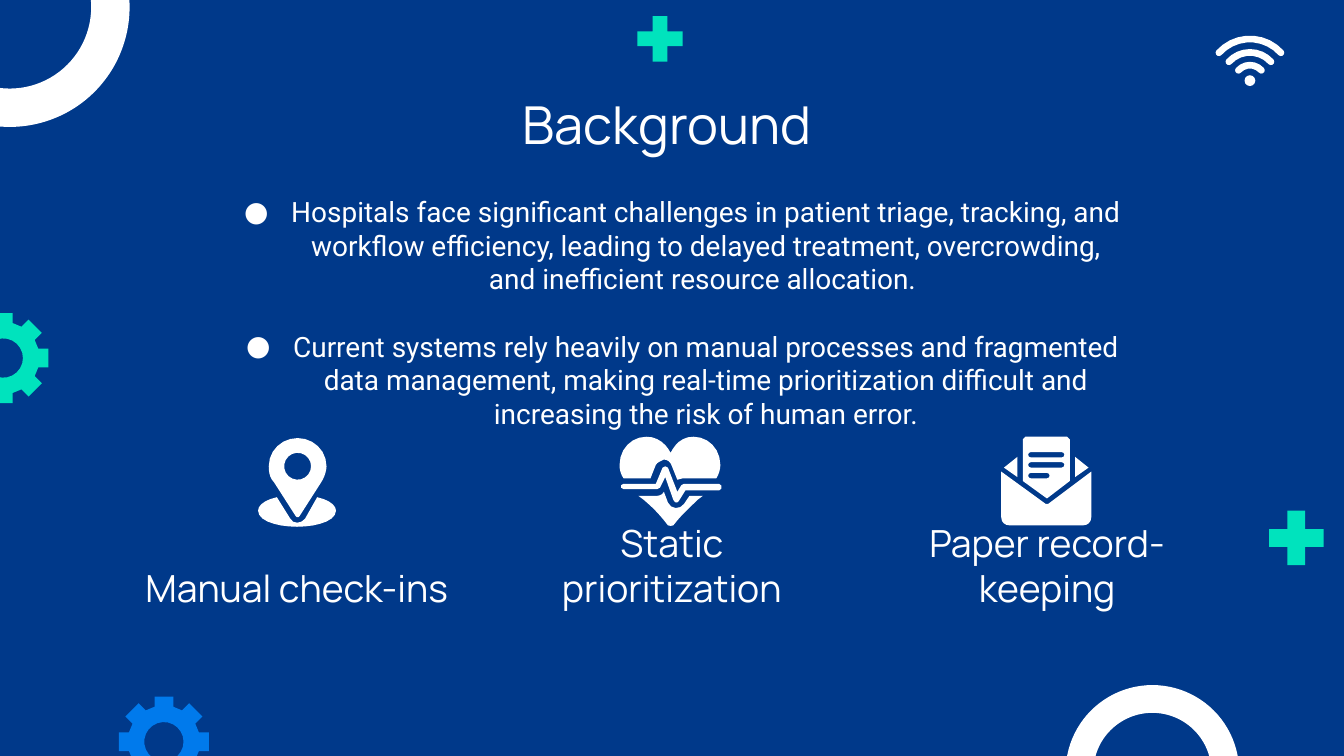
"""Build the Background slide with its list, three icons and tech ornaments."""
from math import cos, sin, radians, sqrt, dist
from pptx import Presentation
from pptx.dml.color import RGBColor
from pptx.enum.shapes import MSO_SHAPE as Kind
from pptx.enum.text import MSO_ANCHOR as Anchor, MSO_AUTO_SIZE as Fit, PP_ALIGN as Align
from pptx.oxml import parse_xml
from pptx.oxml.ns import nsdecls
from pptx.util import Cm, Pt

NAVY = RGBColor(0x00, 0x39, 0x8A)
WHITE = RGBColor(0xFF, 0xFF, 0xFF)
MINT = RGBColor(0x00, 0xE3, 0xBD)
BLUE = RGBColor(0x00, 0x7A, 0xEC)
UNIT = Cm(2.54) / 100


def arc(x, y, size, start, end):
    count = round(abs(end - start) * sqrt(size) / 60)
    turns = [radians(start + (end - start) * i / count) for i in range(count + 1)]
    return [(x + size * cos(t), y + size * sin(t)) for t in turns]


def draw(shapes, paths, color):
    pen = None
    for path in paths:
        dots = [path[0]]
        for seg in path[1:]:
            if len(seg) == 2:
                dots.append(seg)
                continue
            ends = [dots[-1], seg[:2], seg[2:4], seg[4:]]
            count = 1 + round(sqrt(dist(ends[0], ends[3])))
            for i in range(1, count + 1):
                t = i / count
                mix = ((1 - t) ** 3, 3 * t * (1 - t) ** 2, 3 * t * t * (1 - t), t ** 3)
                dots.append(tuple(sum(m * e[k] for m, e in zip(mix, ends)) for k in (0, 1)))
        dots = [(round(x * UNIT), round(y * UNIT)) for x, y in dots]
        if pen is None:
            pen = shapes.build_freeform(*dots[0], scale=1.0)
        else:
            pen.move_to(*dots[0])
        pen.add_line_segments(dots[1:], close=True)
    shape = pen.convert_to_shape()
    shape.shadow.inherit = False
    shape.fill.solid()
    shape.fill.fore_color.rgb = color
    shape.line.fill.background()


deck = Presentation()
deck.slide_width, deck.slide_height = Cm(25.4), Cm(14.29)
slide = deck.slides.add_slide(deck.slide_layouts[1])
slide.background.fill.solid()
slide.background.fill.fore_color.rgb = NAVY

for kind, left, top, size, adjust, color in (
    (Kind.DONUT, 20.14, 12.95, 3.28, 0.16, WHITE),
    (Kind.DONUT, -2.08, -2.13, 4.53, 0.16, WHITE),
    (Kind.MATH_PLUS, 23.8, 9.47, 1.4, 0.24, MINT),
    (Kind.MATH_PLUS, 11.89, 0.15, 1.17, 0.24, MINT),
):
    shape = slide.shapes.add_shape(kind, Cm(left), Cm(top), Cm(size), Cm(size))
    shape.adjustments[0] = adjust
    shape.shadow.inherit = False
    shape.fill.solid()
    shape.fill.fore_color.rgb = color
    shape.line.fill.background()

for x, y, color in ((2.5, 266.5, MINT), (122, 552, BLUE)):
    rim = []
    for step in range(8):
        turn = radians(45 * step)
        for out, side in ((26, -7), (33.5, -7), (33.5, 7), (26, 7)):
            rim.append((x + out * cos(turn) - side * sin(turn),
                        y + out * sin(turn) + side * cos(turn)))
    draw(slide.shapes, [rim, arc(x, y, 14.6, 0, 360)], color)

waves = [arc(930, 60, 4, 0, 360)]
for size in (31, 21, 11.5):
    mid = arc(930, 60, size, -138, -42)
    waves.append(arc(930, 60, size + 2.5, -138, -42) + arc(*mid[-1], 2.5, -42, 138)
                 + arc(930, 60, size - 2.5, -42, -138) + arc(*mid[0], 2.5, 42, 222))
draw(slide.shapes, waves, WHITE)

pin = [
    [arc(221.5, 347, 10, 0, 360),
     [(221.5, 326), (210, 326, 200, 335, 200, 347), (200, 352, 201, 356, 204, 359),
      (220, 384), (220.5, 385.3, 222.5, 385.3, 223, 384), (239, 359),
      (241, 356, 243, 351, 243, 347), (243, 335, 233, 326, 221.5, 326)]],
    [[(206, 370), (197, 372, 192, 376, 192, 380), (192, 388, 207, 392, 221, 392),
      (235, 392, 250, 388, 250, 380), (250, 376, 245, 372, 236, 370),
      (227, 386), (224, 390, 218, 390, 216, 386)]],
]
heart = [
    [[(495, 347), (493, 348), (488, 360), (464, 360),
      (461.3, 360, 461.3, 364, 464, 364), (489, 364), (491, 363),
      (495, 355), (501, 372), (502, 374.5, 504, 374.5, 505, 373), (510, 365), (535, 365),
      (537.5, 365, 537.5, 360, 535, 360), (509, 360), (507, 361),
      (504, 366), (497, 348)]],
    [[(481, 325), (470, 325, 461, 334, 461, 346), (461, 350, 462, 353, 464, 356),
      (484, 356), (488, 346), (489, 344, 492, 343, 494, 342),
      (497, 342, 499, 344, 500, 347), (504, 357), (508, 356),
      (533, 356), (535, 353, 536, 349, 536, 346), (536, 334, 527, 325, 516, 325),
      (507, 325, 502, 331, 499, 337), (496, 331, 490, 325, 481, 325)]],
    [[(494, 366), (493, 368, 491, 369, 489, 369), (475, 369), (479, 372),
      (485, 377, 491, 383, 497, 391), (499, 391.4), (501, 391),
      (507, 383, 514, 377, 519, 372), (523, 369), (513, 369), (509, 375),
      (506, 379.5, 499, 379, 497, 374)]],
]
letter = [[(763, 325), (761, 327), (761, 358), (779, 371), (796, 358), (796, 327), (794, 325)]]
for end, y in ((790, 338.5), (790, 346), (779, 354)):
    letter.append(arc(767, y, 2, 90, 270) + arc(end, y, 2, -90, 90))
mail = [
    [[(745, 351), (745, 385), (745, 389, 748, 391, 751, 391), (806, 391),
      (809, 391, 812, 389, 812, 385), (812, 351), (780, 375), (778, 375)]],
    [[(800, 340), (800, 355), (810, 348)]],
    [[(757, 340), (747, 348), (757, 355)]],
    letter,
]
for icon in (pin, heart, mail):
    group = slide.shapes.add_group_shape()
    for part in icon:
        draw(group.shapes, part, WHITE)

title, body = slide.placeholders
blocks = [
    (title, (1.98, 1.5, 21.44, 1.6), Anchor.TOP, "Manrope", 28, ["Background "]),
    (body, (3.91, 3.43, 17.6, 5), Anchor.TOP, "Roboto", 15, [
        "Hospitals face significant challenges in patient triage, tracking, and workflow "
        "efficiency, leading to delayed treatment, overcrowding, and inefficient resource "
        "allocation. ",
        "Current systems rely heavily on manual processes and fragmented data management, "
        "making real-time prioritization difficult and increasing the risk of human error.",
    ]),
]
labels = ("Manual check-ins", "Static prioritization", "Paper record-keeping")
for col, label in enumerate(labels):
    place = (2.41 + 7.09 * col, 10.64, 6.4, 1.14)
    box = slide.shapes.add_textbox(*map(Cm, place))
    blocks.append((box, place, Anchor.BOTTOM, "Manrope", 20, [label]))

for box, place, anchor, font, size, lines in blocks:
    box.left, box.top, box.width, box.height = map(Cm, place)
    frame = box.text_frame
    frame.word_wrap = True
    frame.auto_size = Fit.NONE
    frame.vertical_anchor = anchor
    frame.margin_left = frame.margin_right = Cm(0.25)
    frame.margin_top = frame.margin_bottom = Cm(0.25)
    for row, line in enumerate(lines):
        para = frame.paragraphs[0] if row == 0 else frame.add_paragraph()
        para.alignment = Align.CENTER
        para.space_before = Pt(18 * row)
        if box is body:
            props = para._p.get_or_add_pPr()
            props.set("marL", str(Cm(1.27)))
            props.set("indent", str(Cm(-0.89)))
            props.append(parse_xml(f'<a:buClr {nsdecls("a")}><a:srgbClr val="{WHITE}"/></a:buClr>'))
            props.append(parse_xml(f'<a:buFont {nsdecls("a")} typeface="{font}"/>'))
            props.append(parse_xml(f'<a:buChar {nsdecls("a")} char="●"/>'))
        run = para.add_run()
        run.text = line
        run.font.name = font
        run.font.size = Pt(size)
        run.font.color.rgb = WHITE

deck.save("out.pptx")
